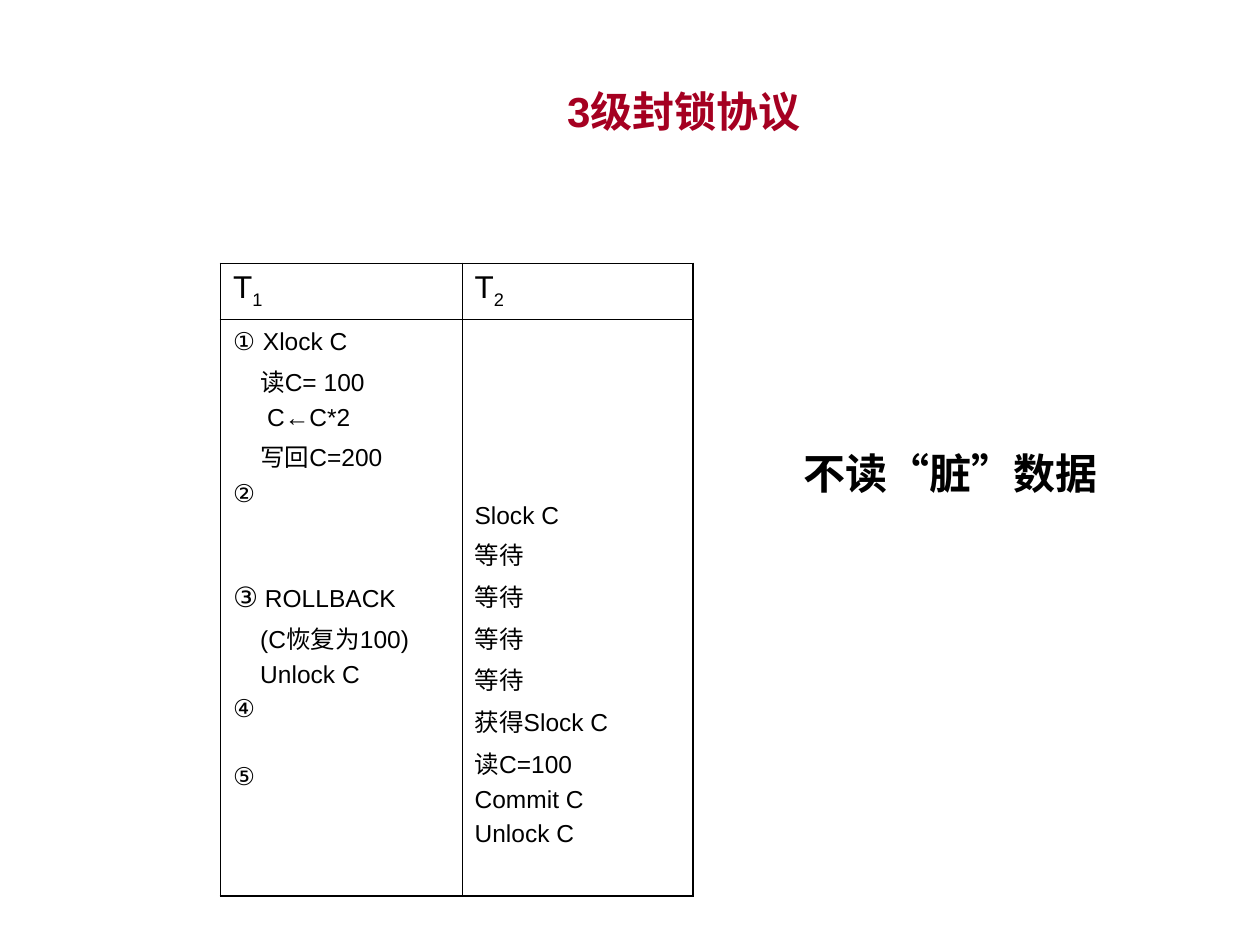
from lxml import etree
from pptx import Presentation
from pptx import util as u
from pptx.dml.color import RGBColor
from pptx.enum import lang, text
from pptx.oxml import ns

HUES = {"ink": "000000", "title": "A50021"}
ALIGN = text.PP_ALIGN
GAP = 3.5
BLANK = 19.6
STEP = 15.5


def write(para, words, size=14, face="Arial", hue="ink", bold=False, sub=False):
    run = para.add_run()
    run.text = words
    font = run.font
    font.size, font.name, font.bold = u.Pt(size), face, bold
    font.color.rgb = RGBColor.from_string(HUES[hue])
    font.language_id = lang.MSO_LANGUAGE_ID.SIMPLIFIED_CHINESE
    if sub:
        run._r.get_or_add_rPr().set("baseline", "-25000")


class Deck:
    """Hold the style and the current slide."""

    def __init__(self, wide, high):
        self.show = Presentation()
        self.show.slide_width, self.show.slide_height = u.Pt(wide), u.Pt(high)
        self.slide = self.show.slides.add_slide(self.show.slide_layouts[6])

    def label(self, box, words, wrap=True, **form):
        frame = self.slide.shapes.add_textbox(*map(u.Pt, box)).text_frame
        frame.word_wrap = wrap
        frame.vertical_anchor = text.MSO_ANCHOR.MIDDLE
        para = frame.paragraphs[0]
        para.alignment = ALIGN.CENTER
        write(para, words, size=24, bold=True, **form)

    def table(self, left, top, cols, rows):
        size = map(u.Pt, (left, top, sum(cols), sum(rows)))
        grid = self.slide.shapes.add_table(len(rows), len(cols), *size).table
        grid.first_row = grid.horz_banding = False
        for col, wide in zip(grid.columns, cols):
            col.width = u.Pt(wide)
        for row, high in zip(grid.rows, rows):
            row.height = u.Pt(high)
        for r in range(len(rows)):
            for c in range(len(cols)):
                cell = grid.cell(r, c)
                outer = {"L": c == 0, "R": c == len(cols) - 1,
                         "T": r == 0, "B": r == len(rows) - 1}
                self.edge(cell, outer)
                cell.fill.background()
        return grid

    def edge(self, cell, outer):
        props = cell._tc.get_or_add_tcPr()
        for side, thick in outer.items():
            line = etree.SubElement(props, ns.qn("a:ln" + side))
            line.set("w", str(u.Pt(1.08 if thick else 0.45)))
            fill = etree.SubElement(line, ns.qn("a:solidFill"))
            etree.SubElement(fill, ns.qn("a:srgbClr")).set("val", HUES["ink"])

    def head(self, cell, num):
        para = cell.text_frame.paragraphs[0]
        write(para, "T", size=18)
        write(para, num, size=18, sub=True)

    def steps(self, cell, lines, top=3.6):
        cell.margin_top = u.Pt(top)
        frame = cell.text_frame
        for i, (runs, indent, skip) in enumerate(lines):
            para = frame.add_paragraph() if i else frame.paragraphs[0]
            para.alignment = ALIGN.JUSTIFY
            para.space_before = u.Pt(GAP + skip * BLANK if i else 0)
            props = para._p.get_or_add_pPr()
            props.set("marL", str(u.Pt(indent)))
            props.set("indent", "0")
            for words, size in runs:
                write(para, words, size=size)


def plain(words, indent=0, skip=0):
    return [(words, 14)], indent, skip


def main():
    deck = Deck(720, 540)
    deck.label((84, 18, 613.5, 90), "3级封锁协议", hue="title")
    grid = deck.table(126, 150.5, (138, 132), (32, 329.5))
    for c, num in enumerate("12"):
        deck.head(grid.cell(0, c), num)
    deck.steps(grid.cell(1, 0), [
        ([("①", 14), (" ", 16), ("Xlock C", 14)], 0, 0),
        plain("读C= 100", STEP),
        plain("C←C*2", STEP + 4),
        plain("写回C=200", STEP),
        plain("②"),
        ([("③", 16), (" ROLLBACK", 14)], 0, 2),
        plain("(C恢复为100)", STEP),
        plain("Unlock C", STEP),
        plain("④"),
        plain("⑤", skip=1),
    ])
    waits = ["等待"] * 4
    deck.steps(grid.cell(1, 1), [plain(words) for words in (
        "Slock C", *waits, "获得Slock C", "读C=100", "Commit C", "Unlock C")],
        top=104.5)
    deck.label((444, 246, 204, 48), "不读“脏”数据 ", wrap=False,
               face="Times New Roman")
    deck.show.save("out.pptx")


if __name__ == "__main__":
    main()
